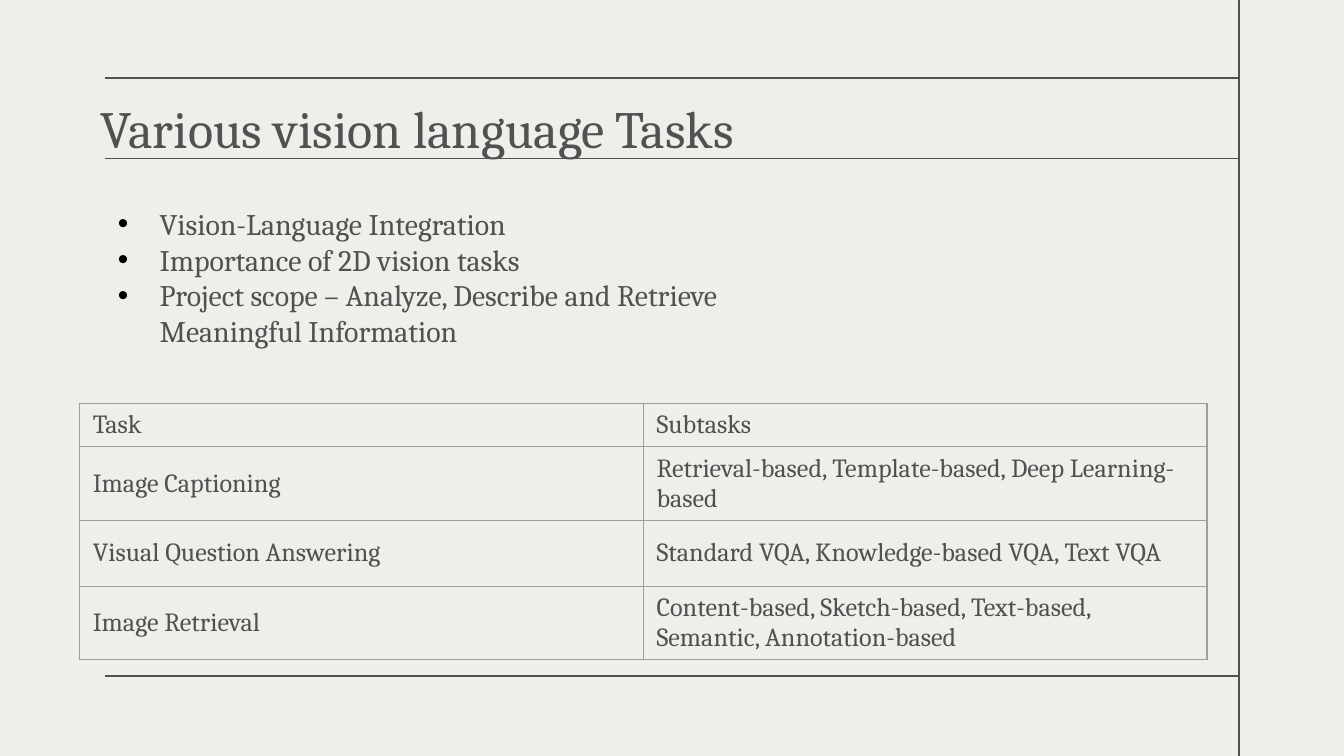
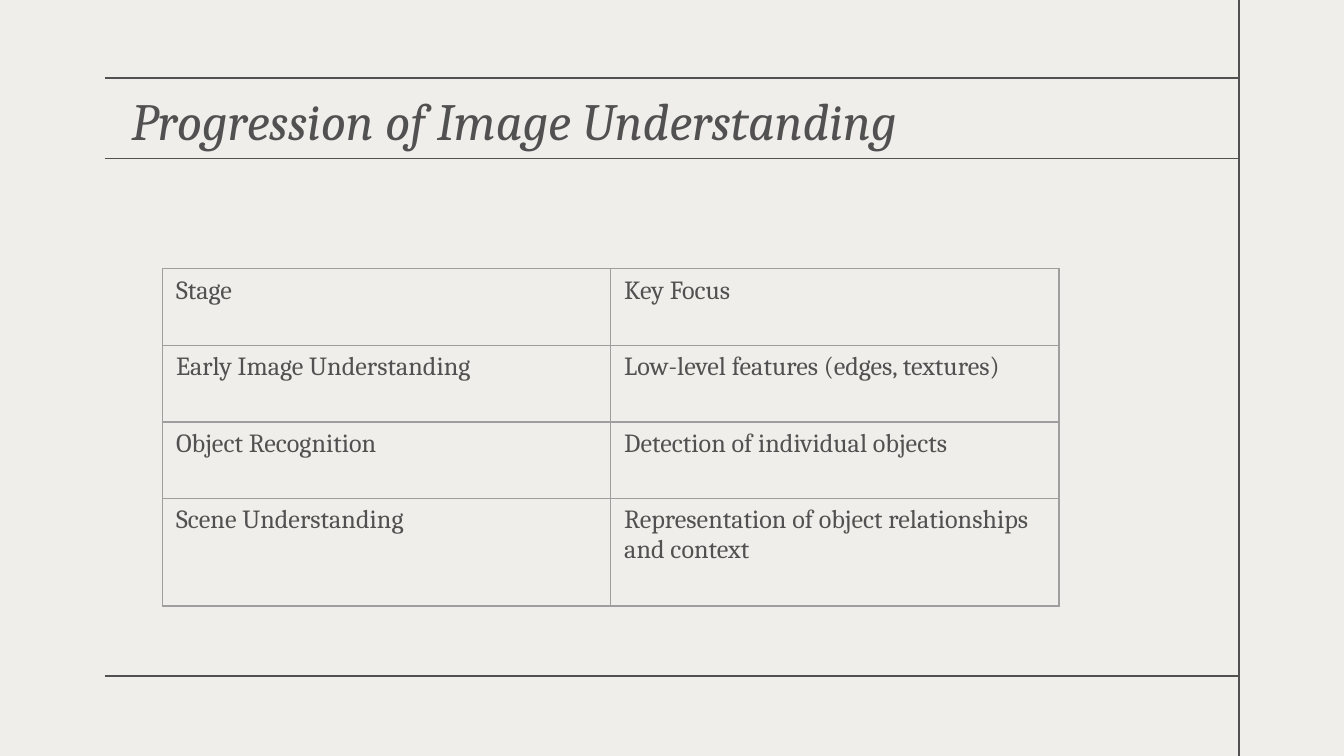
from lxml import etree
from pptx import Presentation
from pptx import util as u
from pptx.dml.color import RGBColor
from pptx.enum import shapes, text
from pptx.oxml import ns

WIDTH = 10
HEIGHT = WIDTH * 9 / 16
INK = RGBColor(0x52, 0x51, 0x51)
PAPER = RGBColor(0xF0, 0xEE, 0xEA)
BORDER = RGBColor(0x9E, 0x9E, 0x9E)
BULLET = RGBColor(0, 0, 0)
FONT = "Cambria"
TITLE_SIZE, BODY_SIZE, CELL_SIZE = 28, 16, 14
LINE_WIDTH = 0.75
INDENT = 0.31

LEFT, RIGHT = 0.78, 9.22
RULES = (0.58, 1.18, 5.03)
OVERHANG = 0.01

SLIDES = [
    {
        "title": "Various vision language Tasks",
        "title_box": (0.65, 0.67, 7.59, 0.81),
        "italic": False,
        "bullets": [
            "Vision-Language Integration",
            "Importance of 2D vision tasks",
            "Project scope – Analyze, Describe and Retrieve Meaningful Information",
        ],
        "bullet_box": (LEFT, 1.48, 5, 1.18),
        "rows": [
            ("Task", "Subtasks"),
            ("Image Captioning", "Retrieval-based, Template-based, Deep Learning-based"),
            ("Visual Question Answering", "Standard VQA, Knowledge-based VQA, Text VQA"),
            ("Image Retrieval", "Content-based, Sketch-based, Text-based, Semantic, Annotation-based"),
        ],
        "table_box": (0.59, 3, 8.39, 2.03),
        "row_heights": (0.29, 0.49, 0.49, 0.49),
        "cell_anchor": text.MSO_ANCHOR.MIDDLE,
    },
    {
        "title": "Progression of Image Understanding",
        "title_box": (0.88, 0.61, 8.1, 0.57),
        "italic": True,
        "bullets": [],
        "rows": [
            ("Stage", "Key Focus"),
            ("Early Image Understanding", "Low-level features (edges, textures)"),
            ("Object Recognition", "Detection of individual objects"),
            ("Scene Understanding", "Representation of object relationships and context"),
        ],
        "table_box": (1.21, 2, 6.67, 2.5),
        "row_heights": (0.57, 0.57, 0.57, 0.8),
        "cell_anchor": text.MSO_ANCHOR.TOP,
    },
]


def add_element(parent, tag, **attributes):
    return etree.SubElement(parent, ns.qn(tag), attributes)


def add_bullet(paragraph):
    properties = paragraph._p.get_or_add_pPr()
    properties.set("marL", str(u.Inches(INDENT)))
    properties.set("indent", str(-u.Inches(INDENT)))
    color = add_element(properties, "a:buClr")
    add_element(color, "a:srgbClr", val=str(BULLET))
    add_element(properties, "a:buFont", typeface="Arial")
    add_element(properties, "a:buChar", char="•")


def write(frame, lines, size, italic=False, bulleted=False):
    """Fill a text frame with one paragraph per line."""
    for index, line in enumerate(lines):
        paragraph = frame.add_paragraph() if index else frame.paragraphs[0]
        if bulleted:
            add_bullet(paragraph)
        run = paragraph.add_run()
        run.text = line
        run.font.name = FONT
        run.font.size = u.Pt(size)
        run.font.italic = italic
        run.font.color.rgb = INK


def add_text(slide, box, lines, **style):
    frame = slide.shapes.add_textbox(*map(u.Inches, box)).text_frame
    frame.word_wrap = True
    frame.auto_size = text.MSO_AUTO_SIZE.SHAPE_TO_FIT_TEXT
    write(frame, lines, **style)


def add_rule(slide, *ends):
    line = slide.shapes.add_connector(shapes.MSO_CONNECTOR.STRAIGHT, *map(u.Inches, ends))
    line.line.color.rgb = INK
    line.line.width = u.Pt(LINE_WIDTH)
    add_element(line._element.spPr, "a:effectLst")


def add_borders(cell):
    properties = cell._tc.get_or_add_tcPr()
    for position, side in enumerate(("a:lnL", "a:lnR", "a:lnT", "a:lnB")):
        border = etree.Element(ns.qn(side), w=str(u.Pt(LINE_WIDTH)))
        fill = add_element(border, "a:solidFill")
        add_element(fill, "a:srgbClr", val=str(BORDER))
        properties.insert(position, border)


def add_table(slide, rows, box, heights, anchor):
    left, top, width, height = map(u.Inches, box)
    columns = len(rows[0])
    shape = slide.shapes.add_table(len(rows), columns, left, top, width, height)
    table = shape.table
    table.first_row = table.horz_banding = False
    for row, row_height, values in zip(table.rows, heights, rows):
        row.height = u.Inches(row_height)
        for cell, value in zip(row.cells, values):
            cell.fill.background()
            cell.vertical_anchor = anchor
            add_borders(cell)
            write(cell.text_frame, [value], size=CELL_SIZE)
    shape.height = height


def add_base(presentation):
    """Add a blank slide with the shared background and rules."""
    slide = presentation.slides.add_slide(presentation.slide_layouts[6])
    slide.background.fill.solid()
    slide.background.fill.fore_color.rgb = PAPER
    for y in RULES:
        add_rule(slide, LEFT, y, RIGHT, y)
    add_rule(slide, RIGHT, -OVERHANG, RIGHT, HEIGHT + OVERHANG)
    return slide


def main():
    presentation = Presentation()
    presentation.slide_width = u.Inches(WIDTH)
    presentation.slide_height = u.Inches(HEIGHT)
    for content in SLIDES:
        slide = add_base(presentation)
        add_table(slide, content["rows"], content["table_box"],
                  content["row_heights"], content["cell_anchor"])
        add_text(slide, content["title_box"], [content["title"]],
                 size=TITLE_SIZE, italic=content["italic"])
        if content["bullets"]:
            add_text(slide, content["bullet_box"], content["bullets"],
                     size=BODY_SIZE, bulleted=True)
    presentation.save("out.pptx")


if __name__ == "__main__":
    main()
